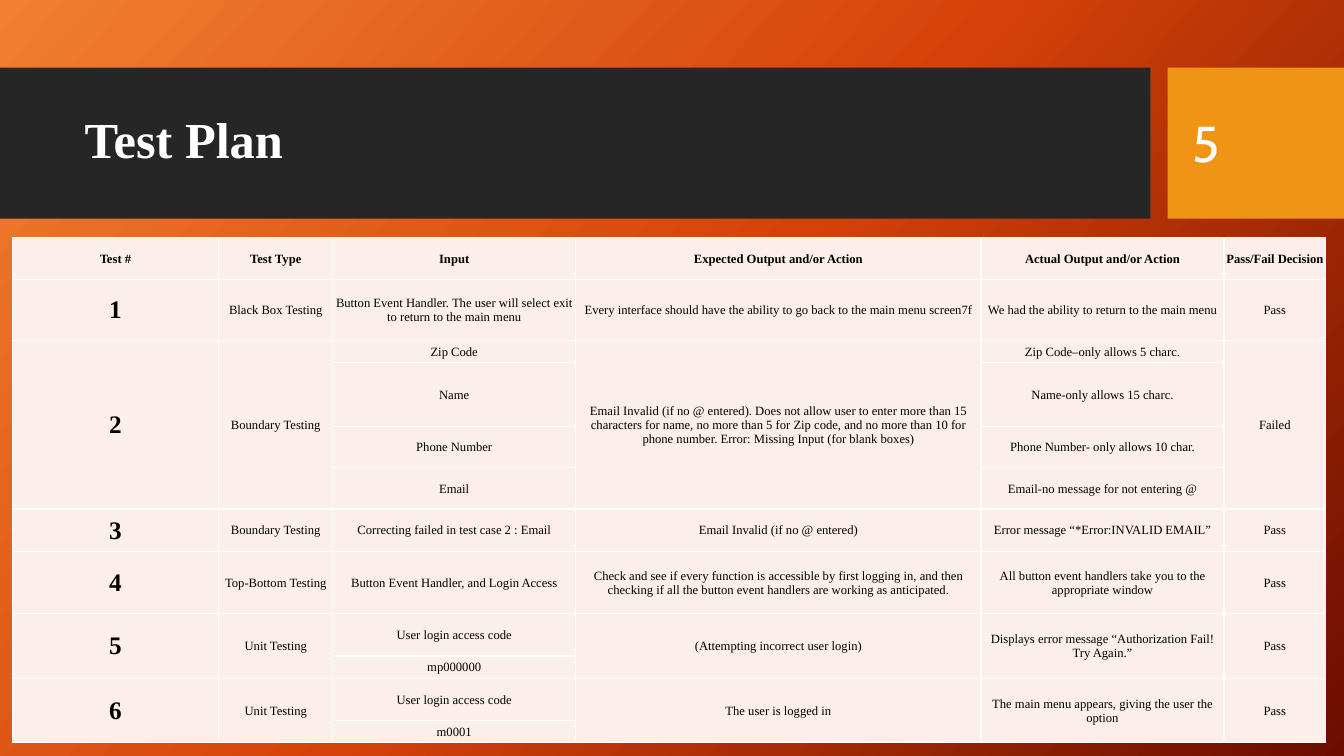
from copy import deepcopy
from dataclasses import dataclass

from lxml import etree
from pptx import Presentation
from pptx.dml.color import RGBColor
from pptx.enum.shapes import MSO_SHAPE
from pptx.enum.text import MSO_ANCHOR, MSO_AUTO_SIZE, PP_ALIGN
from pptx.oxml.ns import qn
from pptx.util import Inches, Pt

RECT = MSO_SHAPE.RECTANGLE
MIDDLE = MSO_ANCHOR.MIDDLE
LEFT, CENTER = PP_ALIGN.LEFT, PP_ALIGN.CENTER
FIXED = MSO_AUTO_SIZE.NONE

SERIF, SANS = "Times New Roman", "Cabin"
COLORS = {
    "white": "FFFFFF", "black": "000000", "band": "262626",
    "badge": "F09415", "cell": "FCEEE8",
}
GLOW = [(0, "F18031"), (0.5, "D54209"), (1, "6A0D00")]


@dataclass
class Band:
    left: float
    width: float
    color: str


@dataclass
class Case:
    """One numbered test; heights and multi-line columns share its rows."""
    kind: str
    inputs: list[str]
    expected: str
    actual: list[str]
    verdict: str
    heights: list[float]


BANDS = [Band(0, 11.41, "band"), Band(11.58, 1.75, "badge")]
WIDTHS = [2.05, 1.13, 2.41, 4.02, 2.41, 1.01]
HEADS = ["Test #", "Test Type", "Input", "Expected Output and/or Action",
         "Actual Output and/or Action", "Pass/Fail Decision"]
HEAD_HEIGHT = 0.41
CASES = [
    Case("Black Box Testing",
         ["Button Event Handler. The user will select exit to return to the main menu"],
         "Every interface should have the ability to go back to the main menu screen7f",
         ["We had the ability to return to the main menu"], "Pass", [0.61]),
    Case("Boundary Testing", ["Zip Code", "Name", "Phone Number", "Email"],
         "Email Invalid (if no @ entered). Does not allow user to enter more than 15 "
         "characters for name, no more than 5 for Zip code, and no more than 10 for "
         "phone number. Error: Missing Input (for blank boxes)",
         ["Zip Code–only allows 5 charc.", "Name-only allows 15 charc.",
          "Phone Number- only allows 10 char.", "Email-no message for not entering @"],
         "Failed", [0.22, 0.63, 0.41, 0.41]),
    Case("Boundary Testing", ["Correcting failed in test case 2 : Email"],
         "Email Invalid (if no @ entered)",
         ["Error message “*Error:INVALID EMAIL”"], "Pass", [0.42]),
    Case("Top-Bottom Testing", ["Button Event Handler, and Login Access"],
         "Check and see if every function is accessible by first logging in, and then "
         "checking if all the button event handlers are working as anticipated.",
         ["All button event handlers take you to the appropriate window"],
         "Pass", [0.62]),
    Case("Unit Testing", ["User login access code", "mp000000"],
         "(Attempting incorrect user login)",
         ["Displays error message “Authorization Fail! Try Again.”"],
         "Pass", [0.42, 0.22]),
    Case("Unit Testing", ["User login access code", "m0001"],
         "The user is logged in",
         ["The main menu appears, giving the user the option"],
         "Pass", [0.42, 0.22]),
]


def rgb(name: str) -> RGBColor:
    return RGBColor.from_string(COLORS[name])


def write(frame, text: str, size: float, font: str, color: str,
          bold: bool = False, align=LEFT):
    para = frame.paragraphs[0]
    para.alignment = align
    run = para.add_run()
    run.text = text
    run.font.size = Pt(size)
    run.font.name = font
    run.font.bold = bold
    run.font.color.rgb = rgb(color)
    return para


def paint_back(slide) -> None:
    fill = slide.background.fill
    fill.gradient()
    fill.gradient_angle = 360 - 42
    stops = slide.element.find(".//" + qn("a:gsLst"))
    stops.append(deepcopy(stops[0]))
    for stop, (place, color) in zip(fill.gradient_stops, GLOW):
        stop.position = place
        stop.color.rgb = RGBColor.from_string(color)


def draw_band(slide, band: Band) -> None:
    shape = slide.shapes.add_shape(
        RECT, Inches(band.left), Inches(0.67), Inches(band.width), Inches(1.5))
    shape.shadow.inherit = False
    shape.fill.solid()
    shape.fill.fore_color.rgb = rgb(band.color)
    shape.line.fill.background()


def add_title(slide) -> None:
    title = slide.shapes.title
    title.left, title.top = Inches(0.74), Inches(0.82)
    title.width, title.height = Inches(10.51), Inches(1.18)
    frame = title.text_frame
    frame.auto_size = FIXED
    frame.vertical_anchor = MIDDLE
    para = write(frame, "Test Plan", 36, SERIF, "white", bold=True)
    para.line_spacing = 0.9
    # Bring the title in front of the bands
    title.element.getparent().append(title.element)


def add_number(slide) -> None:
    box = slide.shapes.add_textbox(
        Inches(11.73), Inches(0.82), Inches(1.26), Inches(1.19))
    frame = box.text_frame
    frame.word_wrap = True
    frame.vertical_anchor = MIDDLE
    write(frame, "5", 36, SANS, "white")


def style_cell(cell) -> None:
    cell.vertical_anchor = MIDDLE
    cell.margin_left = cell.margin_top = cell.margin_right = Inches(0.01)
    cell.margin_bottom = 0
    cell.fill.solid()
    cell.fill.fore_color.rgb = rgb("cell")
    props = cell._tc.get_or_add_tcPr()
    for spot, side in enumerate("LRTB"):
        line = etree.Element(qn(f"a:ln{side}"), w=str(Pt(1)))
        solid = etree.SubElement(line, qn("a:solidFill"))
        etree.SubElement(solid, qn("a:srgbClr"), val=COLORS["white"])
        props.insert(spot, line)


def fill_case(table, top: int, number: int, case: Case) -> None:
    """Write a case from row top on, merging columns that hold one entry."""
    count = len(case.heights)
    columns = [[str(number)], [case.kind], case.inputs,
               [case.expected], case.actual, [case.verdict]]
    for col, texts in enumerate(columns):
        if len(texts) < count:
            table.cell(top, col).merge(table.cell(top + count - 1, col))
        for step, text in enumerate(texts):
            write(table.cell(top + step, col).text_frame, text,
                  9 if col else 18, SERIF, "black", bold=col == 0, align=CENTER)


def add_plan(slide) -> None:
    heights = [HEAD_HEIGHT] + [high for case in CASES for high in case.heights]
    table = slide.shapes.add_table(
        len(heights), len(WIDTHS), Inches(0.12), Inches(2.36),
        Inches(sum(WIDTHS)), Inches(sum(heights))).table
    table.first_row = table.horz_banding = False
    for col, width in zip(table.columns, WIDTHS):
        col.width = Inches(width)
    for row, high in zip(table.rows, heights):
        row.height = Inches(high)
    for cell in table.iter_cells():
        style_cell(cell)
    for col, text in enumerate(HEADS):
        write(table.cell(0, col).text_frame, text, 9, SERIF, "black",
              bold=True, align=CENTER)
    top = 1
    for number, case in enumerate(CASES, 1):
        fill_case(table, top, number, case)
        top += len(case.heights)


def main() -> None:
    deck = Presentation()
    deck.slide_width, deck.slide_height = Inches(13.33), Inches(7.5)
    slide = deck.slides.add_slide(deck.slide_layouts[5])
    paint_back(slide)
    for band in BANDS:
        draw_band(slide, band)
    add_title(slide)
    add_number(slide)
    add_plan(slide)
    deck.save("out.pptx")


if __name__ == "__main__":
    main()
